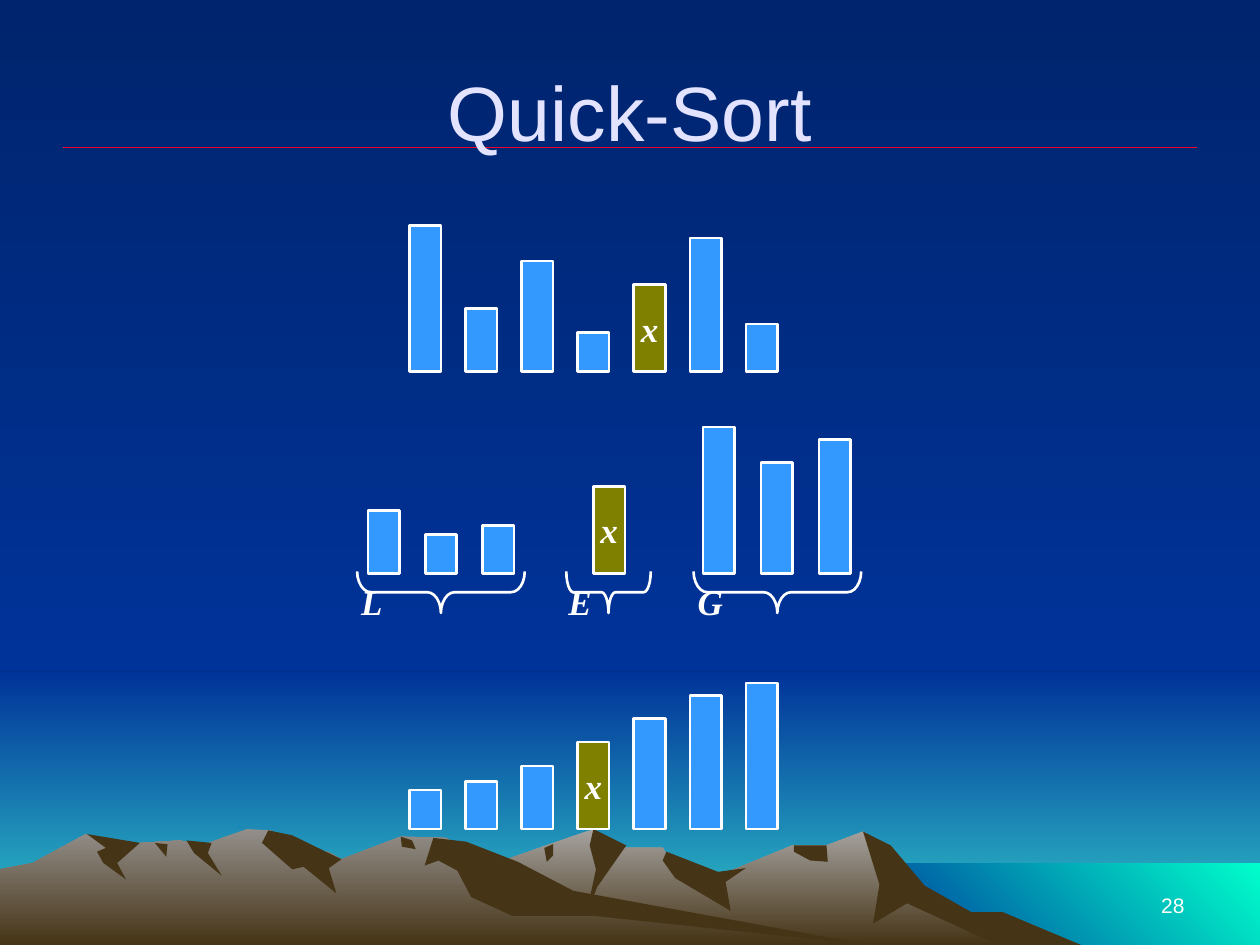
import pptx
import pptx.util
import pptx.dml.color
import pptx.enum.shapes
import pptx.enum.text
import pptx.oxml.ns
from lxml import etree

Inches = pptx.util.Inches
Pt = pptx.util.Pt
RGB = pptx.dml.color.RGBColor.from_string
SHAPE = pptx.enum.shapes.MSO_SHAPE
ALIGN = pptx.enum.text.PP_ALIGN
ANCHOR = pptx.enum.text.MSO_ANCHOR

COLORS = {
    "night": "00246D", "blue": "003399", "horizon": "33CCCC", "sea": "00FFCC",
    "rock": "463416", "near_peak": "A5A29F", "far_peak": "938F8B",
    "rule": "EF0129", "title": "E3E3FF", "white": "FFFFFF",
    "bar": "3399FF", "pivot": "808000",
}


def paint(fill, colors, angle=270):
    """Fill with one colour, or with a two-stop gradient; angle is counter-clockwise."""
    if len(colors) == 1:
        fill.solid()
        fill.fore_color.rgb = RGB(COLORS[colors[0]])
        return
    fill.gradient()
    fill.gradient_angle = angle
    for stop, color in zip(fill.gradient_stops, colors):
        stop.color.rgb = RGB(COLORS[color])


def write(shape, text, size, font, color, align, anchor, wrap=True):
    frame = shape.text_frame
    frame.word_wrap = wrap
    frame.vertical_anchor = anchor
    paragraph = frame.paragraphs[0]
    paragraph.text = text
    paragraph.alignment = align
    paragraph.font.size = Pt(size)
    paragraph.font.name = font
    paragraph.font.color.rgb = RGB(COLORS[color])
    if font == "Times New Roman":
        paragraph.font.bold = paragraph.font.italic = True


prs = pptx.Presentation()
prs.slide_width, prs.slide_height = Inches(10), Inches(7.5)
slide = prs.slides.add_slide(prs.slide_layouts[6])
shapes = slide.shapes
paint(slide.background.fill, ["night", "blue"])

# Bands of sky and sea: left, top, height, colours, gradient angle
for left, top, height, colors, angle in [(0, 5.33, 2.17, ["blue", "horizon"], 270),
                                         (0, 0, 5.33, ["night", "blue"], 270),
                                         (6.83, 6.85, 0.65, ["blue", "sea"], 45)]:
    band = shapes.add_shape(SHAPE.RECTANGLE, Inches(left), Inches(top),
                            Inches(10 - left), Inches(height))
    band.shadow.inherit = False
    band.line.fill.background()
    paint(band.fill, colors, angle)

# Mountains from back to front, outlines in hundredths of an inch
mountains = [
    (["near_peak", "rock"], [
        (802, 740), (764, 723), (723, 698), (702, 671), (685, 660), (656, 671), (629, 671),
        (566, 697), (536, 690), (526, 673), (486, 673), (471, 658), (394, 685), (327, 709),
        (258, 750), (821, 750)]),
    (["rock"], [
        (796, 724), (771, 724), (734, 703), (707, 671), (685, 660), (698, 702), (693, 733),
        (720, 717), (792, 750), (858, 750)]),
    (["rock"], [
        (471, 658), (468, 671), (473, 690), (465, 727), (474, 704), (497, 671)]),
    (["rock"], [(529, 676), (526, 683), (536, 697), (580, 723), (576, 700), (592, 689), (570, 692)]),
    (["rock"], [(630, 671), (630, 676), (643, 683), (657, 684), (656, 671)]),
    (["rock"], [(432, 673), (439, 670), (439, 679), (434, 684)]),
    (["far_peak", "rock"], [
        (690, 750), (432, 712), (354, 665), (318, 664), (271, 682), (260, 676), (236, 681),
        (215, 659), (196, 658), (160, 671), (143, 667), (111, 669), (94, 671), (68, 662),
        (26, 685), (0, 690), (0, 750)]),
    (["rock"], [
        (213, 659), (208, 669), (232, 690), (241, 688), (267, 709), (261, 689), (271, 682),
        (232, 663)]),
    (["rock"], [
        (370, 668), (344, 665), (337, 687), (348, 683), (363, 691), (374, 712), (407, 727),
        (472, 727), (690, 750), (455, 707), (411, 684)]),
    (["rock"], [(318, 664), (327, 667), (330, 674), (319, 672)]),
    (["rock"], [(148, 667), (168, 669), (165, 677), (176, 695), (154, 677)]),
    (["rock"], [(123, 669), (133, 670), (132, 680)]),
    (["rock"], [
        (69, 662), (111, 669), (93, 685), (100, 698), (82, 685), (77, 676), (84, 673)]),
]
for colors, outline in mountains:
    builder = shapes.build_freeform(*outline[0], scale=Inches(0.01))
    builder.add_line_segments(outline[1:], close=True)
    mountain = builder.convert_to_shape()
    mountain.shadow.inherit = False
    mountain.line.fill.background()
    paint(mountain.fill, colors)

title_rule = shapes.add_connector(pptx.enum.shapes.MSO_CONNECTOR.STRAIGHT,
                                  Inches(0.5), Inches(1.17), Inches(9.5), Inches(1.17))
title_rule.line.color.rgb = RGB(COLORS["rule"])
title_rule.line.width = Pt(0.75)
etree.SubElement(title_rule._element.spPr, pptx.oxml.ns.qn("a:effectLst"))

page_number = shapes.add_textbox(Inches(7.17), Inches(6.83), Inches(2.33), Inches(0.5))
write(page_number, "28", 12, "Arial", "white", ALIGN.RIGHT, ANCHOR.BOTTOM)
title = shapes.add_textbox(Inches(0.5), Inches(0.25), Inches(9), Inches(1.25))
write(title, "Quick-Sort", 44, "Arial", "title", ALIGN.CENTER, ANCHOR.MIDDLE)

# Bar groups: left, pitch, baseline, bar heights
PIVOT = 0.69
unsorted = [1.16, 0.5, 0.88, 0.31, PIVOT, 1.06, 0.38]
row_pitch = 2.67 / 6
bar_groups = [
    (3.25, row_pitch, 2.95, unsorted),
    (2.92, 0.455, 4.55, [h for h in unsorted if h < PIVOT]),
    (4.71, 0, 4.55, [PIVOT]),
    (5.58, 0.46, 4.55, [h for h in unsorted if h > PIVOT]),
    (3.25, row_pitch, 6.58, sorted(unsorted)),
]
for left, pitch, baseline, heights in bar_groups:
    for i, height in enumerate(heights):
        bar = shapes.add_shape(SHAPE.RECTANGLE, Inches(left + i * pitch),
                               Inches(baseline - height), Inches(0.25), Inches(height))
        bar.shadow.inherit = False
        paint(bar.fill, ["pivot" if height == PIVOT else "bar"])
        bar.line.color.rgb = RGB(COLORS["white"])
        bar.line.width = Pt(1.5)
        if height == PIVOT:
            write(bar, "x", 20, "Times New Roman", "white", ALIGN.CENTER, ANCHOR.MIDDLE, False)

# Braces are turned to open upwards: label, centre, span, curvature
for label, center, span, curve in [("L", 3.5, 1.33, 0.33), ("G", 6.17, 1.33, 0.33),
                                   ("E", 4.83, 0.67, 0.17)]:
    brace = shapes.add_shape(SHAPE.LEFT_BRACE, Inches(center - 0.33 / 2),
                             Inches(4.7 - span / 2), Inches(0.33), Inches(span))
    brace.rotation = 270
    brace.adjustments[0] = curve
    brace.shadow.inherit = False
    brace.fill.background()
    brace.line.color.rgb = RGB(COLORS["white"])
    brace.line.width = Pt(1.5)
    write(brace, label, 20, "Times New Roman", "white", ALIGN.CENTER, ANCHOR.TOP, False)
    frame = brace.text_frame
    frame.margin_left, frame.margin_right = Inches(0.1), Inches(0.6)
    frame.margin_top = frame.margin_bottom = 0
    frame._txBody.bodyPr.set("vert", "eaVert")

prs.save("out.pptx")
